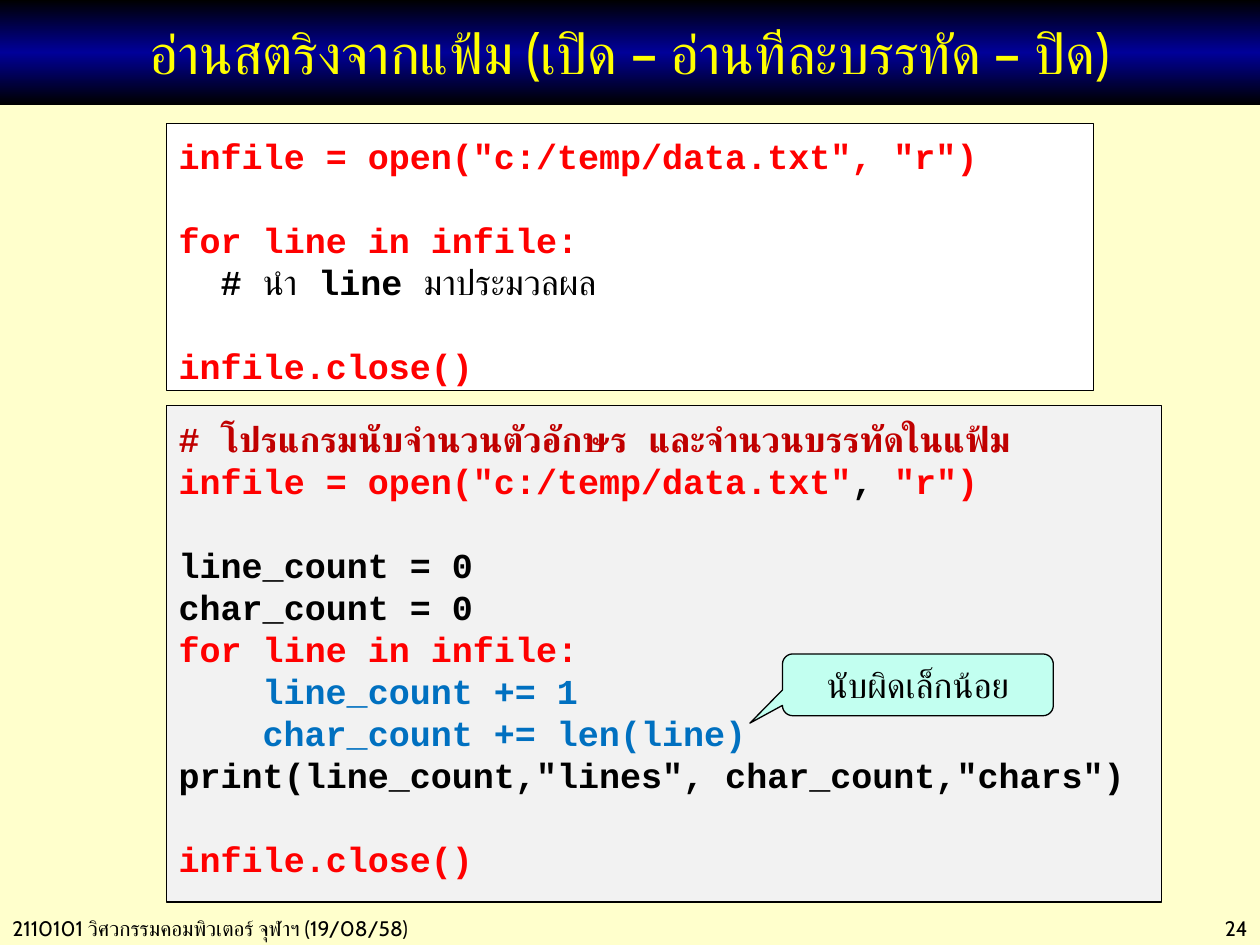
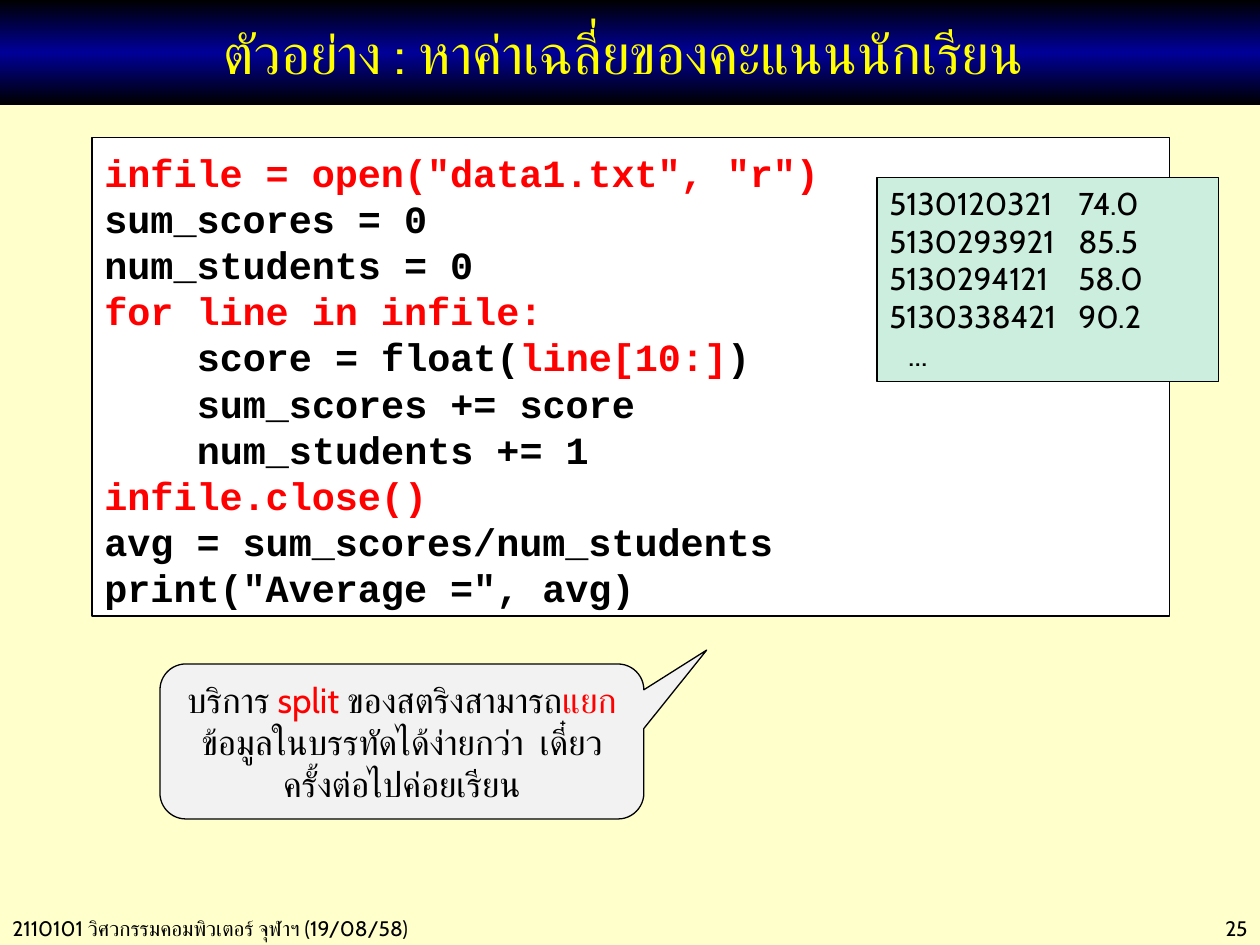
from copy import deepcopy

from pptx import Presentation
from pptx.dml.color import RGBColor
from pptx.enum.shapes import MSO_SHAPE
from pptx.enum.text import MSO_ANCHOR, PP_ALIGN
from pptx.oxml.ns import qn
from pptx.util import Inches, Pt

RECT = MSO_SHAPE.RECTANGLE
CALLOUT = MSO_SHAPE.ROUNDED_RECTANGULAR_CALLOUT
TOP, MIDDLE = MSO_ANCHOR.TOP, MSO_ANCHOR.MIDDLE
LEFT, CENTER, RIGHT = PP_ALIGN.LEFT, PP_ALIGN.CENTER, PP_ALIGN.RIGHT

BODY_FONT, CODE_FONT = "Cabin", "Courier New"
BLACK, WHITE, RED, DARK_RED, BLUE = "000000", "FFFFFF", "FF0000", "C00000", "0070C0"
CREAM, GRAY, YELLOW, NAVY, AQUA, MINT = (
    "FFFFCC", "F2F2F2", "FFFF00", "000099", "C2FFF0", "CCEEDF")
CODE_LINE, CODE_CHAR = 1.2, 0.6

FOOTER = "2110101 วิศวกรรมคอมพิวเตอร์ จุฬาฯ (19/08/58)"
CODE = dict(font=CODE_FONT, bold=True, line_height=CODE_LINE, top_inset=0.09)
NOTE = dict(size=20, align=CENTER, anchor=MIDDLE)

OPEN_LINE = [('infile = open("c:/temp/data.txt", "r")', RED)]
LOOP_LINE = [("for line in infile:", RED)]
CLOSE_LINE = [("infile.close()", RED)]
BLANK = [("", BLACK)]

SLIDES = [
    dict(
        title="อ่านสตริงจากแฟ้ม (เปิด – อ่านทีละบรรทัด – ปิด)",
        number="24",
        boxes=[
            dict(at=(1.32, 0.98, 7.36, 2.12), fill=WHITE, style=dict(CODE, size=20), lines=[
                OPEN_LINE,
                BLANK,
                LOOP_LINE,
                [("  # ", BLACK), ("นำ ", BLACK, False), ("line ", BLACK),
                 ("มาประมวลผล", BLACK, False)],
                BLANK,
                CLOSE_LINE,
            ]),
            dict(at=(1.32, 3.22, 7.9, 3.94), fill=GRAY, style=dict(CODE, size=20), lines=[
                [("# โปรแกรมนับจำนวนตัวอักษร และจำนวนบรรทัดในแฟ้ม", DARK_RED)],
                [('infile = open("c:/temp/data.txt"', RED), (", ", BLACK), ('"r")', RED)],
                BLANK,
                [("line_count = 0", BLACK)],
                [("char_count = 0", BLACK)],
                LOOP_LINE,
                [("    line_count += 1", BLUE)],
                [("    char_count += len(line)", BLUE)],
                [('print(line_count,"lines", char_count,"chars")', BLACK)],
                BLANK,
                CLOSE_LINE,
            ]),
            dict(at=(6.21, 5.19, 2.15, 0.49), fill=AQUA, style=NOTE, tail=(-0.62, 0.62),
                 lines=[[("นับผิดเล็กน้อย", BLACK)]]),
        ],
    ),
    dict(
        title="ตัวอย่าง : หาค่าเฉลี่ยของคะแนนนักเรียน ",
        number="25",
        boxes=[
            dict(at=(0.73, 1.09, 8.55, 3.8), fill=WHITE, style=dict(CODE, size=22), lines=[
                [('infile = open("data1.txt", "r")', RED)],
                [("sum_scores = 0", BLACK)],
                [("num_students = 0", BLACK)],
                LOOP_LINE,
                [("    score = float(", BLACK), ("line[10:]", RED), (")", BLACK)],
                [("    sum_scores += score", BLACK)],
                [("    num_students += 1", BLACK)],
                CLOSE_LINE,
                [("avg = sum_scores/num_students", BLACK)],
                [('print("Average =", avg)', BLACK)],
            ]),
            dict(at=(6.96, 1.41, 2.71, 1.62), fill=MINT, style=dict(size=18, wrap=False), lines=[
                [("5130120321\t74.0", BLACK)],
                [("5130293921\t85.5", BLACK)],
                [("5130294121\t58.0", BLACK)],
                [("5130338421\t90.2", BLACK)],
                [(" ...", BLACK)],
            ]),
            dict(at=(1.27, 5.27, 3.84, 1.23), fill=GRAY, style=NOTE, tail=(0.63, -0.59), lines=[
                [("บริการ ", BLACK), ("split ", RED), ("ของสตริงสามารถ", BLACK), ("แยก", RED),
                 ("ข้อมูลในบรรทัดได้ง่ายกว่า  เดี๋ยวครั้งต่อไปค่อยเรียน", BLACK)],
            ]),
        ],
    ),
]


def rgb(value):
    return RGBColor.from_string(value)


def write(sp, lines, size=12, font=BODY_FONT, bold=False, align=LEFT, anchor=TOP,
          wrap=True, line_height=None, top_inset=0.05):
    tf = sp.text_frame
    tf.word_wrap = wrap
    tf.vertical_anchor = anchor
    tf.margin_left = tf.margin_right = Inches(0.1)
    tf.margin_top, tf.margin_bottom = Inches(top_inset), Inches(0.05)
    p, gap = tf.paragraphs[0], 0
    for i, line in enumerate(lines):
        first = line[0][0]
        if not first:
            gap += size * line_height
            continue
        if i:
            p = tf.add_paragraph()
        p.alignment = align
        p.space_before, gap = Pt(gap), 0
        if line_height:
            p.line_spacing = Pt(size * line_height)
        indent = len(first) - len(first.lstrip(" "))
        if indent:
            p._p.get_or_add_pPr().set("marL", str(Pt(indent * size * CODE_CHAR)))
        for j, (text, color, *weight) in enumerate(line):
            r = p.add_run()
            r.text = text if j else text.lstrip(" ")
            r.font.name, r.font.size = font, Pt(size)
            r.font.bold = weight[0] if weight else bold
            r.font.color.rgb = rgb(color)
            cs = r._r.get_or_add_rPr().makeelement(qn("a:cs"), {"typeface": font})
            r.font._element.append(cs)


def add_title(s, text):
    sp = s.shapes.title
    sp.left, sp.top, sp.width, sp.height = map(Inches, (0, 0, 10, 0.83))
    sp.fill.gradient()
    sp.fill.gradient_angle = 90
    stops = sp._element.spPr.find(qn("a:gradFill")).find(qn("a:gsLst"))
    stops.append(deepcopy(stops[-1]))
    for stop, position, color in zip(sp.fill.gradient_stops, (0, 0.5, 1), (BLACK, NAVY, BLACK)):
        stop.position = position
        stop.color.rgb = rgb(color)
    write(sp, [[(text, YELLOW)]], size=32, align=CENTER, anchor=MIDDLE)


def add_box(s, at, fill, style, lines, tail=None):
    sp = s.shapes.add_shape(CALLOUT if tail else RECT, *map(Inches, at))
    sp.shadow.inherit = False
    sp.fill.solid()
    sp.fill.fore_color.rgb = rgb(fill)
    sp.line.color.rgb = rgb(BLACK)
    sp.line.width = Pt(0.75)
    if tail:
        sp.adjustments[0], sp.adjustments[1] = tail
    write(sp, lines, **style)


def add_footer(s, number):
    for left, width, text, align in ((0, 3.9, FOOTER, LEFT), (8.62, 1.38, number, RIGHT)):
        sp = s.shapes.add_textbox(*map(Inches, (left, 7.22, width, 0.3)))
        write(sp, [[(text, BLACK)]], align=align)


def main():
    prs = Presentation()
    prs.slide_width, prs.slide_height = Inches(10), Inches(7.5)
    background = prs.slide_master.background.fill
    background.solid()
    background.fore_color.rgb = rgb(CREAM)
    for content in SLIDES:
        s = prs.slides.add_slide(prs.slide_layouts[5])
        add_footer(s, content["number"])
        add_title(s, content["title"])
        for box in content["boxes"]:
            add_box(s, **box)
    prs.save("out.pptx")


if __name__ == "__main__":
    main()
